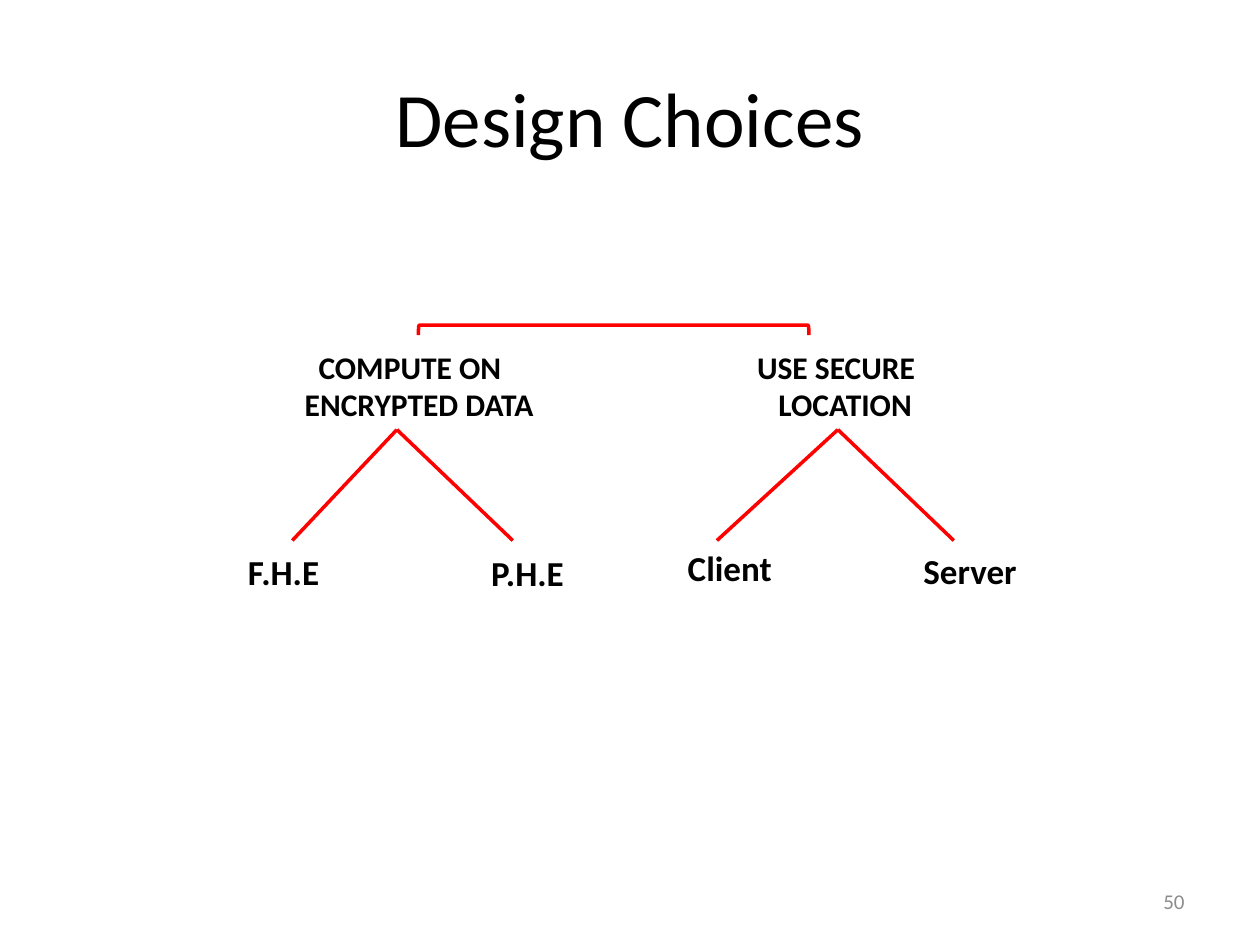
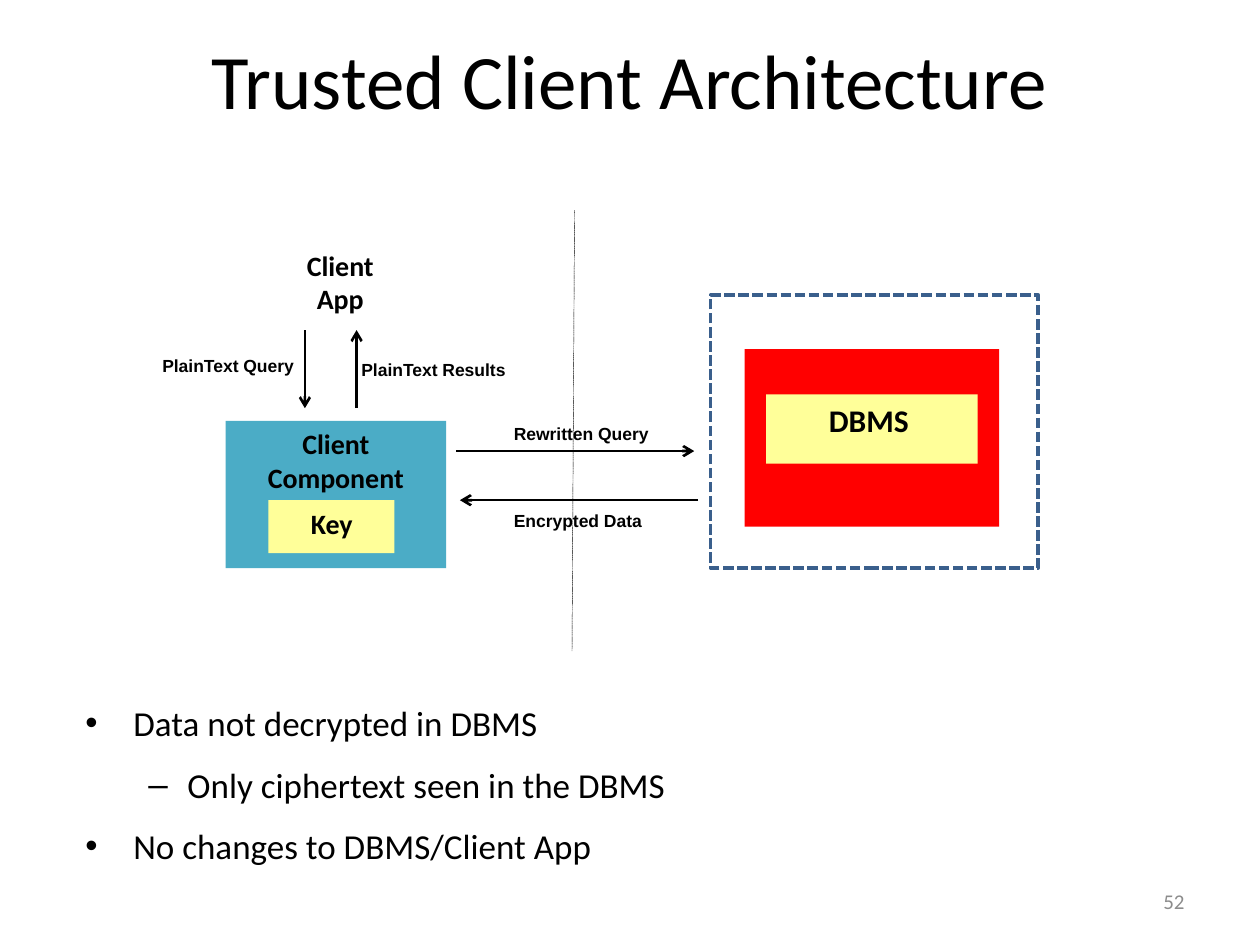
from dataclasses import dataclass
from typing import NamedTuple, Optional

from lxml.etree import SubElement
from pptx import Presentation
from pptx.dml.color import RGBColor
from pptx.enum.dml import MSO_LINE
from pptx.enum.shapes import MSO_CONNECTOR, MSO_SHAPE
from pptx.enum.text import MSO_ANCHOR as Anchor, PP_ALIGN as Align
from pptx.oxml.ns import qn
from pptx.slide import Slide
from pptx.util import Inches, Pt

WIDTH, HEIGHT = Inches(10), Inches(7.5)
COLUMNS, ROWS = 100, 75
BLACK = RGBColor(0x00, 0x00, 0x00)
WHITE = RGBColor(0xFF, 0xFF, 0xFF)
RED = RGBColor(0xFF, 0x00, 0x00)
TEAL = RGBColor(0x4B, 0xAC, 0xC6)
YELLOW = RGBColor(0xFF, 0xFF, 0x99)
NAVY = RGBColor(0x3A, 0x5F, 0x8C)
GREY = RGBColor(0x8C, 0x8C, 0x8C)
HEADING_FONT, LABEL_FONT = "Calibri", "Arial"


class Area(NamedTuple):
    left: float
    top: float
    width: float
    height: float


class Point(NamedTuple):
    column: float
    row: float


class Bullet(NamedTuple):
    text: str
    level: int = 0


class BulletStyle(NamedTuple):
    mark: str
    margin: float
    hanging: float


@dataclass(frozen=True)
class Block:
    area: Area
    lines: tuple[str, ...]
    size: float
    font: str = HEADING_FONT
    bold: bool = True
    color: RGBColor = BLACK
    align: Align = Align.LEFT
    anchor: Anchor = Anchor.TOP
    indents: tuple[float, ...] = ()
    fill: Optional[RGBColor] = None


@dataclass(frozen=True)
class Link:
    start: Point
    end: Point
    color: RGBColor = BLACK
    weight: float = 1.5
    arrow: bool = True
    dash: Optional[MSO_LINE] = None


@dataclass(frozen=True)
class Branch:
    heading: Block
    fork: Point
    tips: tuple[float, float]
    leaves: tuple[Block, Block]


BULLET_STYLES = (BulletStyle("•", 3.8, -3.8), BulletStyle("–", 8.1, -3.1))


def across(columns: float) -> int:
    return round(WIDTH * columns / COLUMNS)


def down(rows: float) -> int:
    return round(HEIGHT * rows / ROWS)


def place(area: Area) -> tuple[int, int, int, int]:
    return across(area.left), down(area.top), across(area.width), down(area.height)


def draw_shape(page: Slide, kind: MSO_SHAPE, area: Area, fill: Optional[RGBColor] = None,
               outline: Optional[RGBColor] = None, dash: Optional[MSO_LINE] = None):
    shape = page.shapes.add_shape(kind, *place(area))
    shape.shadow.inherit = False
    if fill is None:
        shape.fill.background()
    else:
        shape.fill.solid()
        shape.fill.fore_color.rgb = fill
    if outline is None:
        shape.line.fill.background()
    else:
        shape.line.color.rgb = outline
        shape.line.width = Pt(2)
        if dash is not None:
            shape.line.dash_style = dash
    return shape


def draw_block(page: Slide, block: Block) -> None:
    if block.fill is None:
        box = page.shapes.add_textbox(*place(block.area))
    else:
        box = draw_shape(page, MSO_SHAPE.RECTANGLE, block.area, block.fill)
    frame = box.text_frame
    frame.word_wrap = True
    frame.vertical_anchor = block.anchor
    frame.text = "\n".join(block.lines)
    for paragraph in frame.paragraphs:
        paragraph.alignment = block.align
        font = paragraph.runs[0].font
        font.name, font.size, font.bold = block.font, Pt(block.size), block.bold
        font.color.rgb = block.color
    for paragraph, indent in zip(frame.paragraphs, block.indents):
        paragraph._p.get_or_add_pPr().set("marL", str(across(indent)))


def draw_link(page: Slide, link: Link) -> None:
    line = page.shapes.add_connector(
        MSO_CONNECTOR.STRAIGHT, across(link.start.column), down(link.start.row),
        across(link.end.column), down(link.end.row))
    line.line.color.rgb = link.color
    line.line.width = Pt(link.weight)
    if link.dash is not None:
        line.line.dash_style = link.dash
    properties = line._element.spPr
    if link.arrow:
        SubElement(properties.find(qn("a:ln")), qn("a:tailEnd"), type="arrow")
    SubElement(properties, qn("a:effectLst"))


def draw_bullets(page: Slide, area: Area, bullets: tuple[Bullet, ...]) -> None:
    frame = page.shapes.add_textbox(*place(area)).text_frame
    frame.word_wrap = True
    frame.text = "\n".join(bullet.text for bullet in bullets)
    for index, (paragraph, bullet) in enumerate(zip(frame.paragraphs, bullets)):
        style = BULLET_STYLES[bullet.level]
        paragraph.level = bullet.level
        paragraph.line_spacing = 1.3
        paragraph.space_before = Pt(4 if index else 0)
        properties = paragraph._p.get_or_add_pPr()
        properties.set("marL", str(across(style.margin)))
        properties.set("indent", str(across(style.hanging)))
        SubElement(properties, qn("a:buFont"), typeface="Arial")
        SubElement(properties, qn("a:buChar"), char=style.mark)
        font = paragraph.runs[0].font
        font.name, font.size = HEADING_FONT, Pt(20)
        font.color.rgb = BLACK


def start_page(deck: Presentation, title: str, title_top: float, number: int) -> Slide:
    page = deck.slides.add_slide(deck.slide_layouts[6])
    draw_block(page, Block(Area(5, title_top, 90, 12.5), (title,), 44, bold=False,
                           align=Align.CENTER, anchor=Anchor.MIDDLE))
    draw_block(page, Block(Area(71.7, 69.5, 23.3, 4), (str(number),), 12, bold=False,
                           color=GREY, align=Align.RIGHT, anchor=Anchor.MIDDLE))
    return page


def heading(left: float, lines: tuple[str, ...], indents: tuple[float, ...]) -> Block:
    return Block(Area(left, 27.1, 21.7, 7.1), lines, 18, indents=indents)


def leaf(left: float, top: float, text: str, indent: float) -> Block:
    return Block(Area(left, top, 20, 4.4), (text,), 20, indents=(indent,))


def flow_label(left: float, top: float, text: str, indent: float = 1.5) -> Block:
    return Block(Area(left, top, 16.3, 2.7), (text,), 10, LABEL_FONT, indents=(indent,))


def build_choices(deck: Presentation) -> None:
    page = start_page(deck, "Design Choices", 3, 50)
    bracket = draw_shape(page, MSO_SHAPE.LEFT_BRACKET, Area(48.3, 10.7, 0.8, 31), outline=RED)
    bracket.rotation = 90
    branches = (
        Branch(heading(23.2, ("COMPUTE ON", "ENCRYPTED DATA"), (1.1, 0)),
               Point(31.5, 34.1), (23.2, 40.7),
               (leaf(14.2, 43.2, "F.H.E", 4.5), leaf(32.4, 43.3, "P.H.E", 5.6))),
        Branch(heading(55.7, ("USE SECURE", "LOCATION"), (3.4, 5.1)),
               Point(66.5, 34.1), (56.9, 75.7),
               (leaf(47.4, 42.9, "Client", 6.2), leaf(65.9, 43.1, "Server", 6.4))),
    )
    for branch in branches:
        draw_block(page, branch.heading)
        for tip, label in zip(branch.tips, branch.leaves):
            draw_link(page, Link(branch.fork, Point(tip, 42.9), RED, 2, arrow=False))
            draw_block(page, label)


def build_architecture(deck: Presentation) -> None:
    page = start_page(deck, "Trusted Client Architecture", 0, 52)
    draw_link(page, Link(Point(45.6, 16.7), Point(45.4, 51.7), weight=0.25,
                         arrow=False, dash=MSO_LINE.SQUARE_DOT))
    draw_bullets(page, Area(5.8, 54.2, 90, 15.8), (
        Bullet("Data not decrypted in DBMS"),
        Bullet("Only ciphertext seen in the DBMS", 1),
        Bullet("No changes to DBMS/Client App"),
    ))
    draw_shape(page, MSO_SHAPE.RECTANGLE, Area(56.4, 23.4, 26, 21.7),
               outline=NAVY, dash=MSO_LINE.SQUARE_DOT)
    draw_shape(page, MSO_SHAPE.RECTANGLE, Area(59.1, 27.7, 20.2, 14.1), RED)
    blocks = (
        Block(Area(17.9, 33.4, 17.5, 11.7), ("Client", "Component"), 16,
              align=Align.CENTER, fill=TEAL),
        Block(Area(21.9, 19.2, 10.2, 7), ("Client", "App"), 16,
              align=Align.CENTER, fill=WHITE),
        Block(Area(60.8, 31.3, 16.8, 5.5), ("DBMS",), 18, indents=(4,), fill=YELLOW),
        Block(Area(21.3, 39.7, 10, 4.2), ("Key",), 16, indents=(2.4,), fill=YELLOW),
        flow_label(38.3, 33.1, "Rewritten Query"),
        flow_label(39.8, 40, "Encrypted Data", 0),
        flow_label(10.4, 27.7, "PlainText Query"),
        flow_label(26.2, 28, "PlainText Results"),
    )
    for block in blocks:
        draw_block(page, block)
    links = (
        Link(Point(24.2, 26.2), Point(24.2, 32.4)),
        Link(Point(28.3, 32.4), Point(28.3, 26.2)),
        Link(Point(36.2, 35.8), Point(55.1, 35.8)),
        Link(Point(55.4, 39.7), Point(36.5, 39.7)),
    )
    for link in links:
        draw_link(page, link)


def main() -> None:
    deck = Presentation()
    deck.slide_width, deck.slide_height = WIDTH, HEIGHT
    build_choices(deck)
    build_architecture(deck)
    deck.save("out.pptx")


if __name__ == "__main__":
    main()
